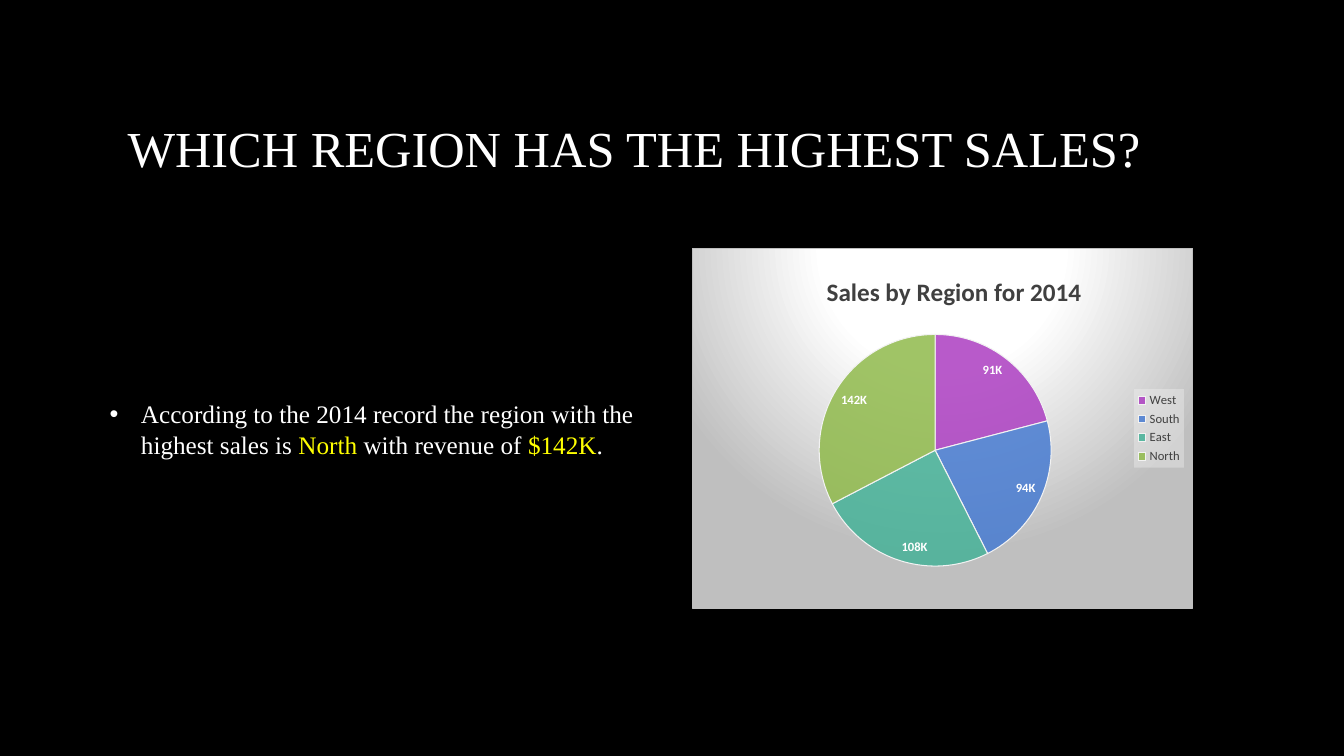
import pptx
import pptx.util
import pptx.dml.color
import pptx.enum.text
import pptx.enum.chart
import pptx.chart.data
import pptx.oxml
import pptx.oxml.ns
from lxml import etree

Inches, Pt = pptx.util.Inches, pptx.util.Pt
qn = pptx.oxml.ns.qn
SERIF, SANS = "Times New Roman", "Calibri"
WHITE, YELLOW, DARK, BLACK, PALE = "FFFFFF", "FFFF00", "404040", "000000", "F2F2F2"

QUESTION = "WHICH REGION HAS THE HIGHEST SALES?"
ANSWER = [
    ("According to the 2014 record the region with the highest sales is ", WHITE),
    ("North", YELLOW),
    (" with revenue of ", WHITE),
    ("$142K", YELLOW),
    (". ", WHITE),
]
CHART_TITLE = "Sales by Region for 2014"
REGIONS = [
    ("West", 91000, "AC3EC1"),
    ("South", 94000, "477BD1"),
    ("East", 108000, "46B298"),
    ("North", 142000, "90BA4C"),
]
BACKDROP_STOPS = [(0, WHITE), (39, WHITE), (100, "BFBFBF")]


def rgb(value):
    return pptx.dml.color.RGBColor.from_string(value)


def style(font, size, color, name, bold=False):
    font.size, font.name, font.bold = Pt(size), name, bold
    font.color.rgb = rgb(color)


def write(paragraph, text, size=18, color=WHITE, name=SERIF, bold=False):
    run = paragraph.add_run()
    run.text = text
    style(run.font, size, color, name, bold)


def box(*inches):
    return [Inches(value) for value in inches]


def place(shape, *inches):
    shape.left, shape.top, shape.width, shape.height = box(*inches)


def fill_alpha(fill, color, percent):
    fill.solid()
    fill.fore_color.rgb = rgb(color)
    for element in fill._xPr.iter(qn("a:srgbClr")):
        etree.SubElement(element, qn("a:alpha"), val=str(percent * 1000))


def fix_layout(parent, before, inner=False, **fractions):
    for old in parent.findall(qn("c:layout")):
        parent.remove(old)
    layout = etree.Element(qn("c:layout"))
    manual = etree.SubElement(layout, qn("c:manualLayout"))
    settings = {"layoutTarget": "inner"} if inner else {}
    settings.update(xMode="edge", yMode="edge", **fractions)
    for tag, value in settings.items():
        etree.SubElement(manual, qn("c:" + tag), val=str(value))
    if before is None:
        parent.insert(0, layout)
    else:
        before.addprevious(layout)


deck = pptx.Presentation()
deck.slide_width, deck.slide_height = box(13.33, 7.5)
slide = deck.slides.add_slide(deck.slide_layouts[5])
slide.background.fill.solid()
slide.background.fill.fore_color.rgb = rgb(BLACK)

question = slide.shapes.title
place(question, 0.75, 0.67, 11.08, 1.59)
question.text_frame.vertical_anchor = pptx.enum.text.MSO_ANCHOR.MIDDLE
heading = question.text_frame.paragraphs[0]
heading.alignment = pptx.enum.text.PP_ALIGN.CENTER
write(heading, QUESTION, size=36)

answer = slide.shapes.add_textbox(*box(0.99, 2.26, 5.46, 3.99)).text_frame
answer.word_wrap = True
answer.vertical_anchor = pptx.enum.text.MSO_ANCHOR.MIDDLE
finding = answer.paragraphs[0]
finding.space_after = Pt(10)
for text, color in ANSWER:
    write(finding, text, color=color)
indent = finding._p.get_or_add_pPr()
indent.set("marL", str(Inches(0.31)))
indent.set("indent", str(-Inches(0.31)))
bullet_color = etree.SubElement(indent, qn("a:buClr"))
etree.SubElement(bullet_color, qn("a:srgbClr"), val=WHITE)
etree.SubElement(indent, qn("a:buFont"), typeface="Arial")
etree.SubElement(indent, qn("a:buChar"), char="•")

sales = pptx.chart.data.CategoryChartData(number_format="General")
sales.categories = [region for region, _, _ in REGIONS]
sales.add_series("Series 1", [amount for _, amount, _ in REGIONS])
pie = slide.shapes.add_chart(
    pptx.enum.chart.XL_CHART_TYPE.PIE, *box(6.86, 2.46, 4.97, 3.58), sales
).chart
style(pie.font, 10, WHITE, SANS)

pie.has_title = True
write(pie.chart_title.text_frame.paragraphs[0], CHART_TITLE,
      size=18, color=DARK, name=SANS, bold=True)
pie.chart_title.include_in_layout = False
title_xml = pie.chart_title._element
fix_layout(title_xml, title_xml.find(qn("c:overlay")), x=0.26, y=0.06)

pie.has_legend = True
pie.legend.position = pptx.enum.chart.XL_LEGEND_POSITION.RIGHT
pie.legend.include_in_layout = False
style(pie.legend.font, 9, DARK, SANS)
legend_look = etree.Element(qn("c:spPr"))
fill_alpha(pptx.dml.fill.FillFormat.from_fill_parent(
    pptx.oxml.parse_xml('<c:spPr %s/>' % pptx.oxml.ns.nsdecls("c", "a"))), PALE, 39)
legend_fill = etree.SubElement(legend_look, qn("a:solidFill"))
legend_color = etree.SubElement(legend_fill, qn("a:srgbClr"), val=PALE)
etree.SubElement(legend_color, qn("a:alpha"), val="39000")
pie.legend._element.find(qn("c:txPr")).addprevious(legend_look)

plot = pie.plots[0]
plot.vary_by_categories = True
slices = plot.series[0]
for index, (_, _, color) in enumerate(REGIONS):
    look = slices.points[index].format
    fill_alpha(look.fill, color, 85)
    look.line.color.rgb = rgb(PALE)
    look.line.width = Pt(0.75)
labels = slices.data_labels
labels.show_value = True
labels.number_format, labels.number_format_is_linked = "#,\\K", False
labels.position = pptx.enum.chart.XL_LABEL_POSITION.INSIDE_END
style(labels.font, 9, WHITE, SANS, bold=True)

chart_xml = pie._chartSpace
fix_layout(chart_xml.find(".//" + qn("c:plotArea")), None, inner=True,
           x=0.047, y=0.239, w=0.878, h=0.644)
stops = "".join(
    f'<a:gs pos="{position * 1000}"><a:srgbClr val="{color}"/></a:gs>'
    for position, color in BACKDROP_STOPS
)
backdrop = pptx.oxml.parse_xml(
    f'<c:spPr {pptx.oxml.ns.nsdecls("c", "a")}><a:gradFill><a:gsLst>{stops}</a:gsLst>'
    '<a:path path="circle"><a:fillToRect l="50000" t="-80000" r="50000" b="180000"/></a:path>'
    '</a:gradFill><a:ln w="9525"><a:solidFill><a:srgbClr val="BFBFBF"/></a:solidFill></a:ln></c:spPr>'
)
chart_xml.find(qn("c:txPr")).addprevious(backdrop)

deck.save("out.pptx")
